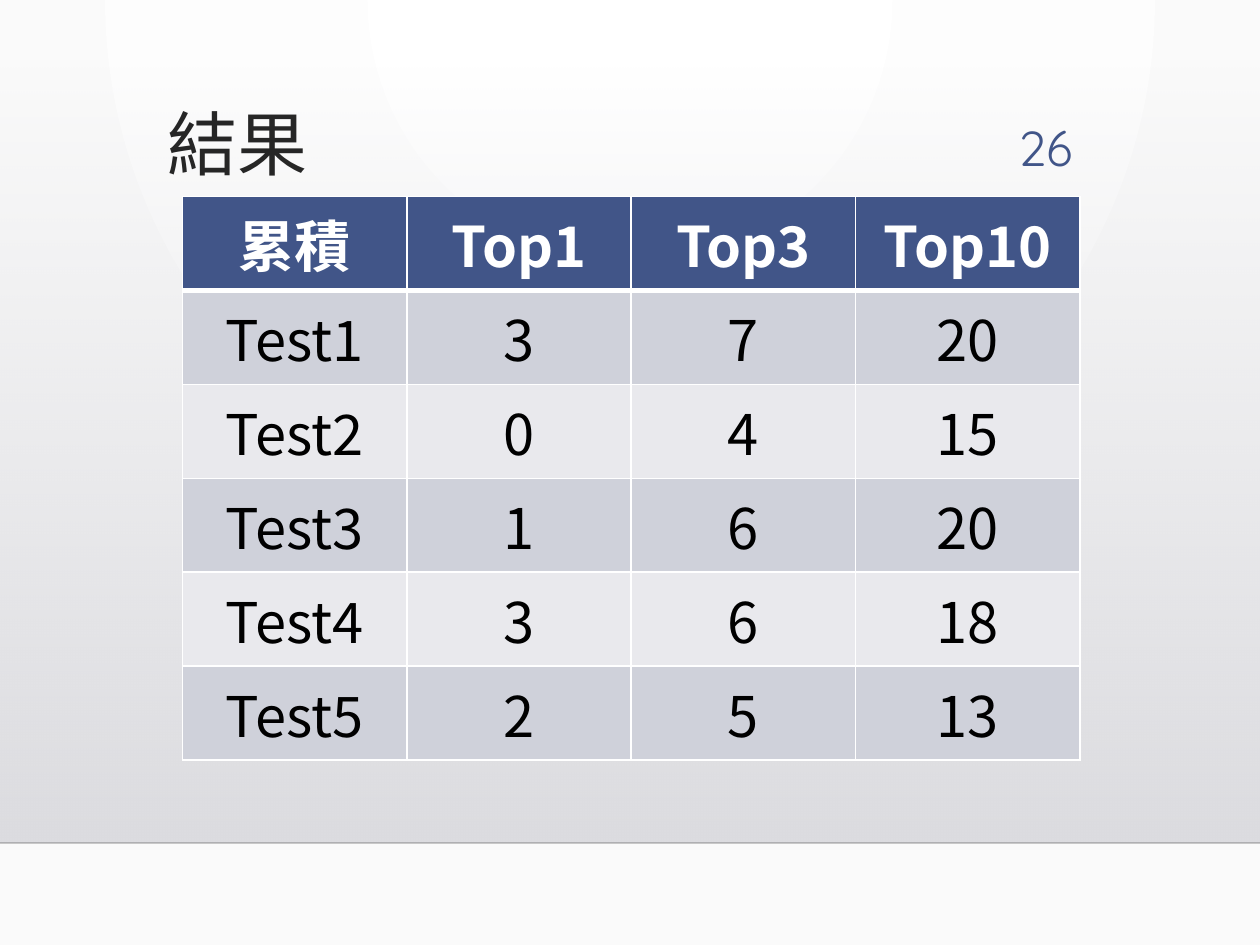
from dataclasses import dataclass

from lxml import etree
from pptx import Presentation
from pptx.dml.color import RGBColor
from pptx.enum.shapes import MSO_CONNECTOR, MSO_SHAPE
from pptx.enum.text import MSO_ANCHOR, MSO_AUTO_SIZE, PP_ALIGN
from pptx.oxml import parse_xml
from pptx.oxml.ns import nsdecls, qn
from pptx.util import Inches, Pt

LEFT, CENTER, RIGHT = PP_ALIGN.LEFT, PP_ALIGN.CENTER, PP_ALIGN.RIGHT
MIDDLE = MSO_ANCHOR.MIDDLE
NO_AUTOFIT = MSO_AUTO_SIZE.NONE
RECTANGLE = MSO_SHAPE.RECTANGLE
STRAIGHT = MSO_CONNECTOR.STRAIGHT

WHITE = RGBColor(0xFF, 0xFF, 0xFF)
OFF_WHITE = RGBColor(0xFA, 0xFA, 0xFA)
HAZE_TOP = RGBColor(0xDC, 0xDC, 0xE0)
HAZE_BOTTOM = RGBColor(0xDE, 0xDE, 0xE2)
HORIZON = RGBColor(0x00, 0x00, 0x01)
TITLE_INK = RGBColor(0x26, 0x26, 0x26)
BLUE = RGBColor(0x41, 0x55, 0x88)
BLACK = RGBColor(0x00, 0x00, 0x00)
BANDS = (RGBColor(0xCF, 0xD1, 0xDA), RGBColor(0xE9, 0xE9, 0xED))

WIDTH, HEIGHT = Inches(10), Inches(7.5)
HAZE_Y, HORIZON_Y = Inches(0.51), Inches(6.69)
COLUMN, ROW = Inches(1.78), Inches(0.73)

RESULTS = (
    ("累積", "Top1", "Top3", "Top10"),
    ("Test1", "3", "7", "20"),
    ("Test2", "0", "4", "15"),
    ("Test3", "1", "6", "20"),
    ("Test4", "3", "6", "18"),
    ("Test5", "2", "5", "13"),
)


@dataclass(frozen=True)
class TextStyle:
    size: int
    color: RGBColor
    align: PP_ALIGN
    font: str = "Noto Sans CJK JP"
    bold: bool = False


TITLE = TextStyle(40, TITLE_INK, LEFT)
PAGE_NUMBER = TextStyle(28, BLUE, RIGHT, "Quicksand")
HEADER = TextStyle(32, WHITE, CENTER, bold=True)
BODY = TextStyle(32, BLACK, CENTER)


def write(frame, text: str, style: TextStyle) -> None:
    frame.text = text
    paragraph = frame.paragraphs[0]
    paragraph.alignment = style.align
    font = paragraph.font
    font.name, font.size, font.bold = style.font, Pt(style.size), style.bold
    font.color.rgb = style.color
    defaults = paragraph._p.pPr.find(qn("a:defRPr"))
    etree.SubElement(defaults, qn("a:ea")).set("typeface", style.font)


def place(shape, left: float, top: float, width: float, height: float) -> None:
    shape.left, shape.top = Inches(left), Inches(top)
    shape.width, shape.height = Inches(width), Inches(height)
    frame = shape.text_frame
    frame.auto_size, frame.word_wrap = NO_AUTOFIT, True
    frame.vertical_anchor = MIDDLE


def set_gradient(properties, start: RGBColor, end: RGBColor, direction: str,
                 start_alpha: int = 100) -> None:
    """Swap the solid fill in properties for a two-stop gradient."""
    gradient = parse_xml(
        f'<a:gradFill {nsdecls("a")} rotWithShape="1"><a:gsLst>'
        f'<a:gs pos="0"><a:srgbClr val="{start}">'
        f'<a:alpha val="{start_alpha * 1000}"/></a:srgbClr></a:gs>'
        f'<a:gs pos="100000"><a:srgbClr val="{end}"/></a:gs>'
        f'</a:gsLst>{direction}</a:gradFill>')
    solid = properties.find(qn("a:solidFill"))
    properties.replace(solid, gradient)


def set_borders(cell, top: int, bottom: int) -> None:
    properties = cell._tc.get_or_add_tcPr()
    sides = (("lnL", 1), ("lnR", 1), ("lnT", top), ("lnB", bottom))
    for position, (side, points) in enumerate(sides):
        properties.insert(position, parse_xml(
            f'<a:{side} {nsdecls("a")} w="{Pt(points)}"><a:solidFill>'
            f'<a:srgbClr val="{WHITE}"/></a:solidFill></a:{side}>'))


def draw_backdrop(slide) -> None:
    # Radial glow from the top centre
    slide.background.fill.solid()
    set_gradient(next(slide._element.iter(qn("p:bgPr"))), WHITE, OFF_WHITE,
                 '<a:path path="circle"><a:fillToRect l="43000" t="0" '
                 'r="43000" b="100000"/></a:path>')

    # Haze that thickens towards the horizon
    haze = slide.shapes.add_shape(RECTANGLE, 0, HAZE_Y, WIDTH, HORIZON_Y - HAZE_Y)
    haze.shadow.inherit = False
    haze.line.fill.background()
    haze.fill.solid()
    set_gradient(haze._element.spPr, HAZE_TOP, HAZE_BOTTOM,
                 '<a:lin ang="5400000" scaled="0"/>', start_alpha=0)

    # Horizon line
    horizon = slide.shapes.add_connector(STRAIGHT, 0, HORIZON_Y, WIDTH, HORIZON_Y)
    horizon.line.width = Pt(1)
    horizon.line.color.rgb = HORIZON
    color = next(horizon._element.spPr.iter(qn("a:srgbClr")))
    etree.SubElement(color, qn("a:alpha")).set("val", "20000")
    etree.SubElement(horizon._element.spPr, qn("a:effectLst"))


def draw_results(slide) -> None:
    rows, columns = len(RESULTS), len(RESULTS[0])
    table = slide.shapes.add_table(rows, columns, Inches(1.45), Inches(1.56),
                                   COLUMN * columns, ROW * rows).table
    for column in table.columns:
        column.width = COLUMN
    for r, values in enumerate(RESULTS):
        table.rows[r].height = ROW
        for c, value in enumerate(values):
            cell = table.cell(r, c)
            write(cell.text_frame, value, BODY if r else HEADER)
            cell.fill.solid()
            cell.fill.fore_color.rgb = BANDS[(r - 1) % 2] if r else BLUE
            set_borders(cell, top=3 if r == 1 else 1, bottom=1 if r else 3)


def main() -> None:
    deck = Presentation()
    deck.slide_width, deck.slide_height = WIDTH, HEIGHT
    slide = deck.slides.add_slide(deck.slide_layouts[5])
    draw_backdrop(slide)

    # Title, raised in front of the backdrop
    title = slide.shapes.title
    slide.shapes._spTree.append(title._element)
    place(title, 1.23, 0.7, 1.81, 0.86)
    write(title.text_frame, "結果", TITLE)

    # Page number
    number = slide.shapes.add_textbox(0, 0, 0, 0)
    place(number, 7.74, 0.89, 0.87, 0.55)
    write(number.text_frame, "26", PAGE_NUMBER)

    draw_results(slide)
    deck.save("out.pptx")


if __name__ == "__main__":
    main()
